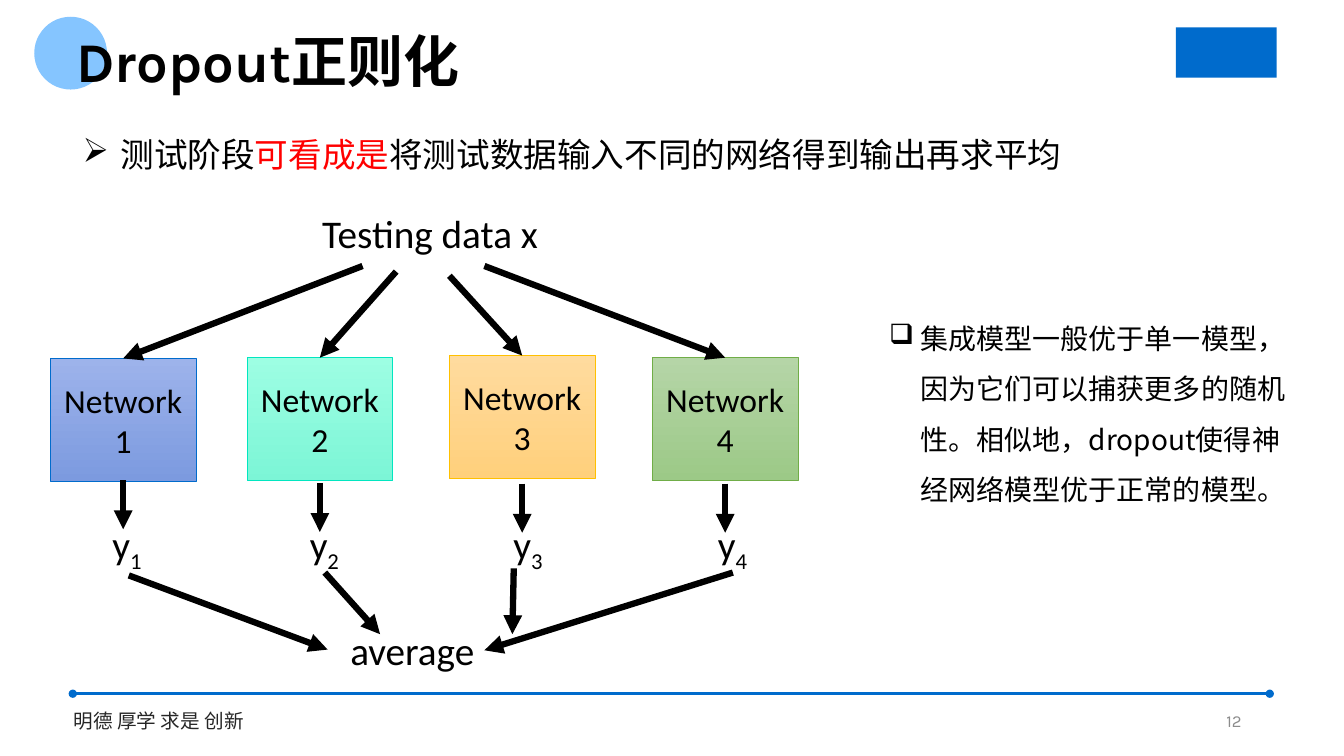
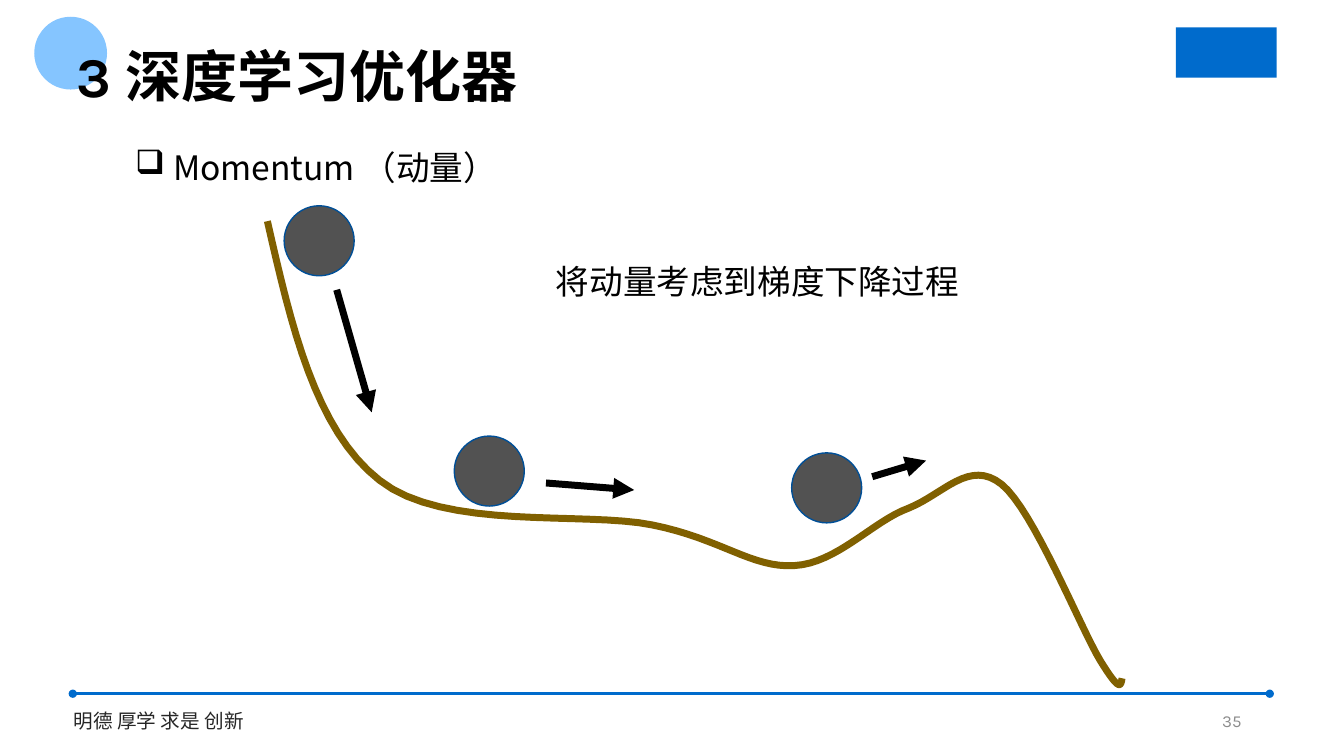
"""Build two lecture slides on dropout and momentum."""
from dataclasses import dataclass

from lxml import etree
from pptx import Presentation
from pptx.dml.color import RGBColor
from pptx.enum.shapes import MSO_CONNECTOR, MSO_SHAPE
from pptx.enum.text import MSO_ANCHOR, MSO_AUTO_SIZE, PP_ALIGN
from pptx.oxml.ns import qn
from pptx.util import Pt

STRAIGHT = MSO_CONNECTOR.STRAIGHT
RECT, OVAL = MSO_SHAPE.RECTANGLE, MSO_SHAPE.OVAL
TOP, MIDDLE = MSO_ANCHOR.TOP, MSO_ANCHOR.MIDDLE
LEFT, CENTER, RIGHT = PP_ALIGN.LEFT, PP_ALIGN.CENTER, PP_ALIGN.RIGHT

COLORS = {
    "black": "000000", "red": "FF0000", "blue": "006BCC", "sky": "85C5FF",
    "footer": "262626", "number": "8C8C8C", "ball": "525252",
    "ball_line": "004F97", "hill": "806000",
}
CJK = "Noto Sans CJK SC"
STYLES = {
    "title": {"name": "Karla", "size": Pt(40), "bold": True},
    "footer": {"name": "Karla", "size": Pt(14)},
    "number": {"name": "Karla", "size": Pt(12)},
    "body": {"name": CJK, "size": Pt(24)},
    "note": {"name": CJK, "size": Pt(20)},
    "label": {"name": "Calibri", "size": Pt(28)},
    "network": {"name": "Calibri", "size": Pt(24)},
}
NET_W, NET_H = 104, 88


@dataclass
class Run:
    text: str
    color: str = "black"
    subscript: bool = False


@dataclass
class Network:
    left: float
    top: float
    light: str
    dark: str
    line: str
    fan_start: tuple[float, float]
    out_top: float
    label_left: float
    merge: tuple[float, float, float, float]

    @property
    def center(self) -> float:
        return self.left + NET_W / 2


NETWORKS = [
    Network(36, 256, "9DB3EB", "7C9ADF", "006BCC", (259, 190), 343, 62,
            (92, 411, 234, 464)),
    Network(176.5, 255.5, "9DFEE3", "7CF5D6", "01E6C0", (283, 194), 345, 203,
            (232, 409, 271.5, 453)),
    Network(321, 254, "FFDB9E", "FFD07C", "FFC000", (321, 197), 345.5, 348.5,
            (367, 406, 366, 453)),
    Network(466, 255.5, "B5D5A7", "9CC987", "70AD47", (346, 190), 345.5, 494.5,
            (523.5, 409, 346, 464.5)),
]
HILL_START = (191, 158)
HILL_CURVES = [
    ((208, 232.5), (225, 307), (271, 343)),
    ((317, 379.5), (417, 365), (466, 375)),
    ((515.5, 385), (537, 406), (567.5, 404)),
    ((597.5, 402.5), (624, 372), (649, 363)),
    ((674, 353), (692.5, 327.5), (715.5, 346)),
    ((738, 364), (772, 449), (786, 472)),
    ((800.5, 495.5), (800.5, 489.5), (801.5, 484.5)),
]
BALLS = [(203, 147), (324.5, 311.5), (565.5, 323.5)]
BALL_ARROWS = [(240.5, 207, 265.5, 294.5), (390, 345, 453, 350),
               (623, 340.5, 661.5, 329)]


def rgb(color: str) -> RGBColor:
    return RGBColor.from_string(COLORS.get(color, color))


def add_runs(p, runs: list[Run], style: str) -> None:
    for item in runs:
        r = p.add_run()
        r.text = item.text
        for key, value in STYLES[style].items():
            setattr(r.font, key, value)
        r.font.color.rgb = rgb(item.color)
        props = r._r.get_or_add_rPr()
        etree.SubElement(props, qn("a:ea"), typeface=CJK)
        if item.subscript:
            props.set("baseline", "-25000")


def fill_text(sp, paragraphs: list[list[Run]], style: str, align=LEFT,
              anchor=TOP, line: float = 0, indent: float = 0,
              bullet: str = "") -> None:
    tf = sp.text_frame
    for key, value in {"word_wrap": True, "vertical_anchor": anchor,
                       "auto_size": MSO_AUTO_SIZE.NONE}.items():
        setattr(tf, key, value)
    for i, runs in enumerate(paragraphs):
        p = tf.add_paragraph() if i else tf.paragraphs[0]
        p.alignment = align
        if bullet:
            props = p._p.get_or_add_pPr()
            props.set("marL", str(Pt(indent)))
            props.set("indent", str(-Pt(indent)))
            etree.SubElement(props, qn("a:buChar"), char=bullet)
        if line:
            p.line_spacing = Pt(line)
        add_runs(p, runs, style)


def add_text(s, box: tuple[float, float, float, float], runs: list[Run],
             style: str, **layout) -> None:
    sp = s.shapes.add_textbox(*map(Pt, box))
    fill_text(sp, [runs], style, **layout)


def add_shape(s, kind, box: tuple[float, float, float, float], fill: str,
              line: str = "", width: float = 0):
    sp = s.shapes.add_shape(kind, *map(Pt, box))
    sp.shadow.inherit = False
    sp.fill.solid()
    sp.fill.fore_color.rgb = rgb(fill)
    if line:
        sp.line.color.rgb = rgb(line)
        sp.line.width = Pt(width)
    else:
        sp.line.fill.background()
    return sp


def add_line(s, ends: tuple[float, float, float, float], width: float,
             color: str = "black", head: str = "none",
             tail: str = "triangle") -> None:
    cn = s.shapes.add_connector(STRAIGHT, *map(Pt, ends))
    cn.line.color.rgb = rgb(color)
    cn.line.width = Pt(width)
    ln = cn.line._get_or_add_ln()
    etree.SubElement(ln, qn("a:headEnd"), type=head)
    etree.SubElement(ln, qn("a:tailEnd"), type=tail)
    etree.SubElement(cn._element.spPr, qn("a:effectLst"))


def add_slide(prs, title: str, title_top: float, number: int):
    s = prs.slides.add_slide(prs.slide_layouts[5])
    add_text(s, (45.5, 502.5, 200, 24.5), [Run("明德 厚学 求是 创新", "footer")],
             "footer", line=17)
    add_shape(s, OVAL, (24.5, 12, 52, 52), "sky")
    add_line(s, (52, 495.5, 907, 495.5), 1.75, "blue", "oval", "oval")
    add_shape(s, RECT, (840, 19.5, 72, 36), "blue")
    add_text(s, (678, 500.5, 216, 29), [Run(str(number), "number")], "number",
             align=RIGHT, anchor=MIDDLE)
    sp = s.shapes.title
    s.shapes._spTree.append(sp._element)
    for key, value in {"left": 47.5, "top": title_top, "width": 480,
                       "height": 50}.items():
        setattr(sp, key, Pt(value))
    sp.text_frame.margin_top = sp.text_frame.margin_bottom = Pt(0)
    fill_text(sp, [[Run(title)]], "title", line=48)
    return s


def add_network(s, index: int, net: Network) -> None:
    sp = add_shape(s, RECT, (net.left, net.top, NET_W, NET_H), net.light,
                   net.line, 0.5)
    sp.fill.gradient()
    sp.fill.gradient_angle = 270
    for stop, color in zip(sp.fill.gradient_stops, (net.light, net.dark)):
        stop.color.rgb = rgb(color)
    fill_text(sp, [[Run("Network")], [Run(str(index))]], "network",
              align=CENTER, anchor=MIDDLE)
    add_text(s, (net.label_left, 368, 57.5, 41),
             [Run("y"), Run(str(index), subscript=True)], "label", align=CENTER)
    add_line(s, (*net.fan_start, net.center, net.top), 4.5)
    add_line(s, (net.center, net.out_top, net.center, net.out_top + 35), 4.5)
    add_line(s, net.merge, 4.5)


def dropout_slide(prs) -> None:
    s = add_slide(prs, "Dropout正则化", 19, 12)
    add_text(s, (52, 78, 786, 46),
             [Run("测试阶段"), Run("可看成是", "red"),
              Run("将测试数据输入不同的网络得到输出再求平均")],
             "body", line=43, indent=27, bullet="➢")
    add_text(s, (223, 146, 189, 41), [Run("Testing data x")], "label")
    add_text(s, (200, 443.5, 189, 41), [Run("average")], "label", align=CENTER)
    for index, net in enumerate(NETWORKS, 1):
        add_network(s, index, net)
    add_text(s, (628, 214, 312, 148),
             [Run("集成模型一般优于单一模型，因为它们可以捕获更多的随机性。"
                  "相似地，dropout使得神经网络模型优于正常的模型。")],
             "note", line=36, indent=22.5, bullet="❑")


def hill_points(steps: int = 16) -> list[tuple[int, int]]:
    points, start = [], HILL_START
    for c1, c2, end in HILL_CURVES:
        for i in range(1, steps + 1):
            t = i / steps
            u = 1 - t
            points.append(tuple(
                Pt(u**3 * a + 3 * u * u * t * b + 3 * u * t * t * c + t**3 * d)
                for a, b, c, d in zip(start, c1, c2, end)))
        start = end
    return points


def momentum_slide(prs) -> None:
    s = add_slide(prs, "3 深度学习优化器", 30, 35)
    add_text(s, (89.5, 87, 364, 46), [Run("Momentum （动量）")], "body",
             line=43, indent=27, bullet="❑")
    builder = s.shapes.build_freeform(*map(Pt, HILL_START))
    builder.add_line_segments(hill_points(), close=False)
    hill = builder.convert_to_shape()
    hill.shadow.inherit = False
    hill.fill.background()
    hill.line.color.rgb = rgb("hill")
    hill.line.width = Pt(5)
    for left, top in BALLS:
        add_shape(s, OVAL, (left, top, 50, 50), "ball", "ball_line", 1)
    for ends in BALL_ARROWS:
        add_line(s, ends, 5)
    add_text(s, (390, 182.5, 400, 36), [Run("将动量考虑到梯度下降过程")], "body",
             line=29)


def main() -> None:
    prs = Presentation()
    prs.slide_width, prs.slide_height = Pt(960), Pt(540)
    dropout_slide(prs)
    momentum_slide(prs)
    prs.save("out.pptx")


if __name__ == "__main__":
    main()
